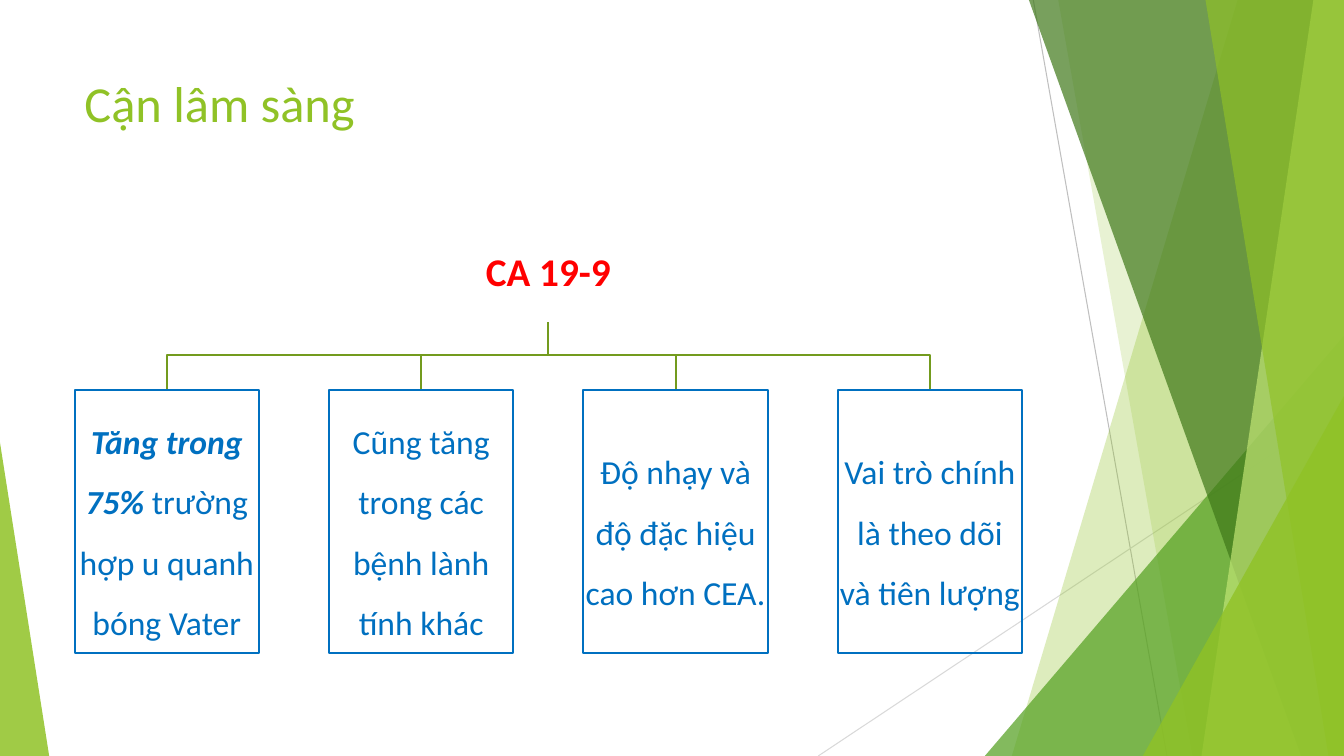
import pptx
import pptx.util
import pptx.dml.color
import pptx.enum.shapes
import pptx.enum.text
import pptx.oxml.ns
from lxml import etree

Cm, Pt = pptx.util.Cm, pptx.util.Pt
KIND = pptx.enum.shapes.MSO_SHAPE
ALIGN = pptx.enum.text.PP_ALIGN
ANCHOR = pptx.enum.text.MSO_ANCHOR
WIDE, HIGH = 33.87, 19.05
LIME, BLUE = "90C226", "0070C0"


def color(code):
    return pptx.dml.color.RGBColor.from_string(code)


def style(shape, fill=None, alpha=100, line=None, width=1.5):
    shape.shadow.inherit = False
    if fill:
        shape.fill.solid()
        shape.fill.fore_color.rgb = color(fill)
        tint = shape.fill._xPr.find(".//" + pptx.oxml.ns.qn("a:srgbClr"))
        etree.SubElement(tint, pptx.oxml.ns.qn("a:alpha"), val=str(alpha * 1000))
    else:
        shape.fill.background()
    if line:
        shape.line.color.rgb = color(line)
        shape.line.width = Pt(width)
    else:
        shape.line.fill.background()
    return shape


def write(shape, text, lead="", size=24, ink=BLUE, bold=False, align=ALIGN.CENTER,
          anchor=ANCHOR.MIDDLE, inset=(0.04, 0.04), space=1.5, after=0.35):
    """Fill a shape with one paragraph; lead is a bold italic opening."""
    frame = shape.text_frame
    frame.word_wrap = True
    frame.vertical_anchor = anchor
    frame.margin_left = frame.margin_right = Cm(inset[0])
    frame.margin_top = frame.margin_bottom = Cm(inset[1])
    para = frame.paragraphs[0]
    para.alignment = align
    para.line_spacing = space
    para.space_after = Pt(size * after)
    for part, strong in ((lead, True), (text, False)):
        if part:
            run = para.add_run()
            run.text = part
            run.font.name = "Calibri"
            run.font.size = Pt(size)
            run.font.bold = bold or strong
            run.font.italic = strong
            run.font.color.rgb = color(ink)


def outline(slide, points, close):
    start, *rest = [(Cm(x), Cm(y)) for x, y in points]
    pen = slide.shapes.build_freeform(*start)
    pen.add_line_segments(rest, close=close)
    return pen.convert_to_shape()


def wedge(slide, x, y, w, h, tip, fill, alpha):
    shape = slide.shapes.add_shape(KIND.ISOSCELES_TRIANGLE, Cm(x), Cm(y), Cm(w), Cm(h))
    shape.adjustments[0] = tip
    style(shape, fill, alpha)


def facets(slide, x, y, w, h):
    """Backdrop: thin lines, bands and wedges, measured from the box's right edge."""
    right, base = x + w, y + h

    # Thin lines: start, end, colour
    for start, end, ink in (((right - 7.83, y), (right - 4.46, base), "BFBFBF"),
                            ((right, base - 8.81), (right - 13.25, base), "D9D9D9")):
        line = slide.shapes.add_connector(pptx.enum.shapes.MSO_CONNECTOR.STRAIGHT,
                                          *(Cm(v) for v in start + end))
        line.line.color.rgb = color(ink)
        line.line.width = Pt(0.75)
        etree.SubElement(line._element.spPr, pptx.oxml.ns.qn("a:effectLst"))

    def band(top, foot, fill, alpha):
        points = [(right - top, y), (right, y), (right, base), (right - foot, base)]
        style(outline(slide, points, True), fill, alpha)

    def corner(wide, tall, fill, alpha):
        wedge(slide, right - wide, base - tall, wide, tall, 1, fill, alpha)

    # Bands and wedges, back to front
    band(2.68, 8.37, LIME, 30)
    band(7.2, 3.82, LIME, 20)
    corner(9.05, 10.59, "54A021", 72)
    band(7.94, 1.08, "3F7819", 70)
    band(0.77, 3.59, "C0E474", 70)
    band(3.49, 0.39, LIME, 65)
    corner(5.07, 9.07, LIME, 80)
    wedge(slide, x, base - 7.9, 1.24, 7.9, 0, LIME, 85)


def title(slide, x, y, w, h, text):
    box = slide.shapes.add_textbox(Cm(x), Cm(y), Cm(w), Cm(h))
    write(box, text, size=36, ink=LIME, align=ALIGN.LEFT, anchor=ANCHOR.TOP,
          inset=(0.25, 0.13), space=1, after=0)


def tree(slide, x, y, w, h, head, leaves):
    """One head above a row of equal boxes, joined by square branches."""
    wide, tall, head_w, head_h = 4.65, 6.63, 8.33, 2.34
    step = (w - wide) / (len(leaves) - 1)
    mid, neck, row = x + w / 2, y + head_h, y + h - tall
    fork = (neck + row) / 2

    # Branches
    for i in reversed(range(len(leaves))):
        foot = x + i * step + wide / 2
        points = [(mid, neck), (mid, fork), (foot, fork), (foot, row)]
        style(outline(slide, points, False), line="739B1E")

    def node(left, top, width, height, line):
        shape = slide.shapes.add_shape(KIND.RECTANGLE, Cm(left), Cm(top),
                                       Cm(width), Cm(height))
        return style(shape, line=line)

    # Head and leaves
    write(node(mid - head_w / 2, y, head_w, head_h, "FFFFFF"), head,
          size=28, ink="FF0000", bold=True, space=0.9)
    for i, (lead, text) in enumerate(leaves):
        write(node(x + i * step, row, wide, tall, BLUE), text, lead=lead)


def main():
    deck = pptx.Presentation()
    deck.slide_width, deck.slide_height = Cm(WIDE), Cm(HIGH)
    slide = deck.slides.add_slide(deck.slide_layouts[6])
    facets(slide, 0, 0, WIDE, HIGH)
    title(slide, 1.88, 1.7, 23.88, 3.66, "Cận lâm sàng")
    tree(slide, 1.88, 5.74, 23.88, 10.72, "CA 19-9", [
        ("Tăng trong 75% ", "trường hợp u quanh bóng Vater"),
        ("", "Cũng tăng trong các bệnh lành tính khác"),
        ("", "Độ nhạy và độ đặc hiệu cao hơn CEA."),
        ("", "Vai trò chính là theo dõi và tiên lượng"),
    ])
    deck.save("out.pptx")


if __name__ == "__main__":
    main()
